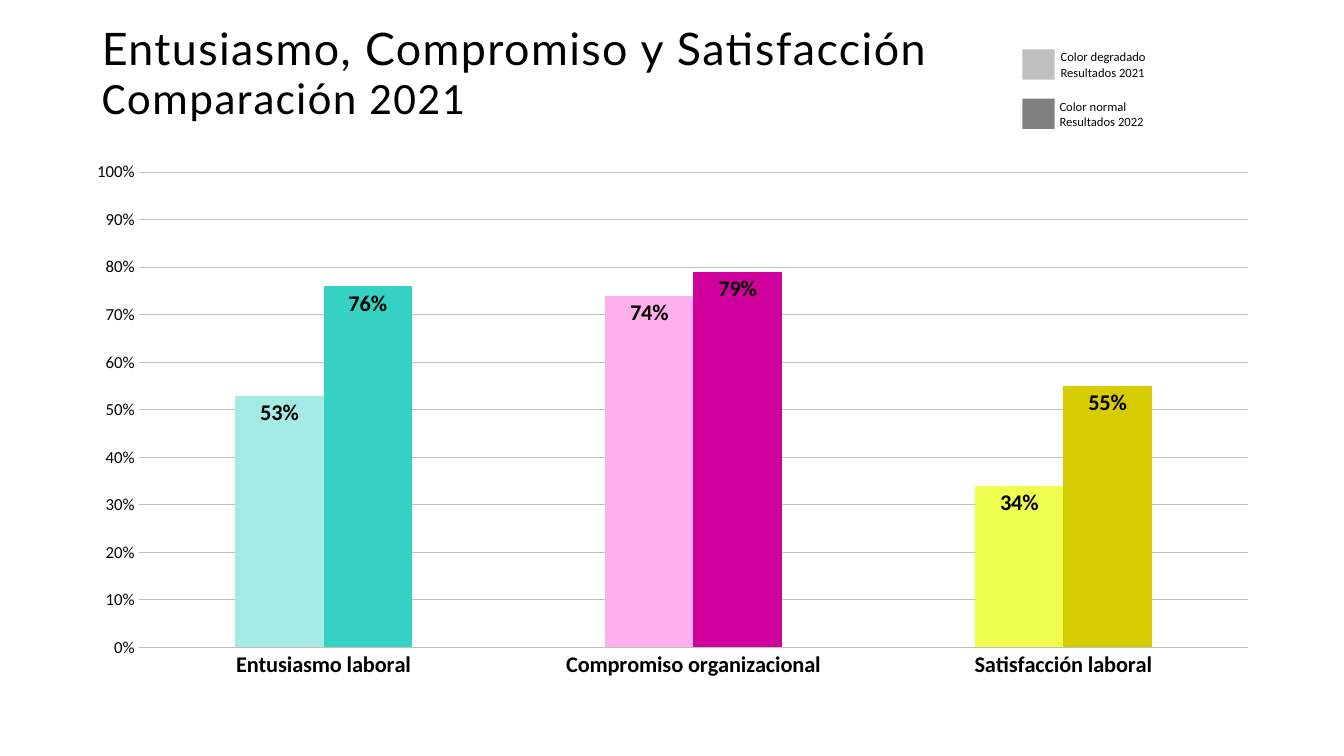
import dataclasses

import lxml.etree
import pptx
import pptx.chart.data
import pptx.dml.color
import pptx.enum.chart
import pptx.enum.shapes
import pptx.enum.text
import pptx.oxml
import pptx.oxml.ns
import pptx.util

Inches = pptx.util.Inches
Pt = pptx.util.Pt


@dataclasses.dataclass(frozen=True)
class Theme:
    heading_font: str = "Lato"
    body_font: str = "Calibri"
    text: str = "000000"
    legend_text: str = "07080B"
    grid: str = "BFBFBF"
    previous_key: str = "BFBFBF"
    current_key: str = "808080"
    previous_bars: tuple = ("A3EBE4", "FFAFEC", "EEFF4F")
    current_bars: tuple = ("35D2C4", "CF009C", "D6CC00")
    title_size: int = 32
    label_size: int = 16
    axis_size: int = 12
    chart_size: int = 10
    legend_size: int = 9


class SlideBuilder:
    """Adds styled elements to one slide."""

    def __init__(self, slide, theme):
        self.slide = slide
        self.theme = theme

    def style_font(self, font, size, color, name=None, bold=False):
        font.size = Pt(size)
        font.name = name or self.theme.body_font
        font.bold = bold
        font.color.rgb = pptx.dml.color.RGBColor.from_string(color)

    def fill_solid(self, fill, color):
        fill.solid()
        fill.fore_color.rgb = pptx.dml.color.RGBColor.from_string(color)

    def style_line(self, line, width):
        line.color.rgb = pptx.dml.color.RGBColor.from_string(self.theme.grid)
        line.width = Pt(width)

    def add_title(self, lines, left, top, width, height):
        title = self.slide.shapes.title
        title.left, title.top = Inches(left), Inches(top)
        title.width, title.height = Inches(width), Inches(height)
        frame = title.text_frame
        frame.text = "\v".join(lines)
        frame.word_wrap = True
        frame.auto_size = pptx.enum.text.MSO_AUTO_SIZE.NONE
        frame.vertical_anchor = pptx.enum.text.MSO_ANCHOR.TOP
        frame.margin_left = frame.margin_right = 0
        frame.margin_top = frame.margin_bottom = 0
        para = frame.paragraphs[0]
        para.alignment = pptx.enum.text.PP_ALIGN.LEFT
        para.line_spacing = 0.9
        fonts = (self.theme.heading_font, self.theme.body_font)
        for span, name in zip(para.runs, fonts):
            self.style_font(span.font, self.theme.title_size, self.theme.text, name)
            span.font._element.set("spc", "100")

    def add_key(self, lines, color, top, text_left, text_width):
        swatch = self.slide.shapes.add_shape(
            pptx.enum.shapes.MSO_SHAPE.RECTANGLE,
            Inches(10.14), Inches(top), Inches(0.32), Inches(0.3))
        swatch.shadow.inherit = False
        self.fill_solid(swatch.fill, color)
        swatch.line.fill.background()
        box = self.slide.shapes.add_textbox(
            Inches(text_left), Inches(top - 0.05), Inches(text_width), Inches(0.4))
        frame = box.text_frame
        frame.text = "\n".join(lines)
        frame.word_wrap = True
        frame.auto_size = pptx.enum.text.MSO_AUTO_SIZE.SHAPE_TO_FIT_TEXT
        for para in frame.paragraphs:
            for span in para.runs:
                self.style_font(span.font, self.theme.legend_size, self.theme.legend_text)

    def add_column_chart(self, categories, series, left, top, width, height):
        data = pptx.chart.data.CategoryChartData(number_format="0%")
        data.categories = categories
        for name, values, colors in series:
            data.add_series(name, values)
        chart = self.slide.shapes.add_chart(
            pptx.enum.chart.XL_CHART_TYPE.COLUMN_CLUSTERED,
            Inches(left), Inches(top), Inches(width), Inches(height), data).chart
        chart.has_legend = False
        chart.has_title = False
        self.style_font(chart.font, self.theme.chart_size, self.theme.text)
        plot = chart.plots[0]
        plot.vary_by_categories = False
        plot.gap_width = 219
        plot.overlap = 0
        for bars, (name, values, colors) in zip(plot.series, series):
            self.style_bars(bars, colors)
        self.style_axes(chart)
        self.place_plot(chart, x=0.055, y=0.039, w=0.925, h=0.883)

    def style_bars(self, bars, colors):
        self.fill_solid(bars.format.fill, colors[0])
        for index, color in enumerate(colors):
            self.fill_solid(bars.points[index].format.fill, color)
        labels = bars.data_labels
        labels.show_value = True
        labels.number_format = "0%"
        labels.number_format_is_linked = False
        labels.position = pptx.enum.chart.XL_LABEL_POSITION.INSIDE_END
        self.style_font(labels.font, self.theme.label_size, self.theme.text, bold=True)

    def style_axes(self, chart):
        for axis in (chart.category_axis, chart.value_axis):
            axis.major_tick_mark = pptx.enum.chart.XL_TICK_MARK.NONE
            axis.minor_tick_mark = pptx.enum.chart.XL_TICK_MARK.NONE
        category, value = chart.category_axis, chart.value_axis
        self.style_font(category.tick_labels.font, self.theme.label_size,
                        self.theme.text, bold=True)
        self.style_line(category.format.line, 0.75)
        value.minimum_scale, value.maximum_scale, value.major_unit = 0, 1, 0.1
        value.tick_labels.number_format = "0%"
        value.tick_labels.number_format_is_linked = False
        self.style_font(value.tick_labels.font, self.theme.axis_size, self.theme.text)
        value.format.line.fill.background()
        value.has_major_gridlines = True
        self.style_line(value.major_gridlines.format.line, 0.5)

    def place_plot(self, chart, **fractions):
        qn = pptx.oxml.ns.qn
        area = chart._chartSpace.find(".//" + qn("c:plotArea"))
        for old in area.findall(qn("c:layout")):
            area.remove(old)
        layout = lxml.etree.Element(qn("c:layout"))
        manual = lxml.etree.SubElement(layout, qn("c:manualLayout"))
        settings = {"layoutTarget": "inner", "xMode": "edge", "yMode": "edge", **fractions}
        for tag, setting in settings.items():
            lxml.etree.SubElement(manual, qn("c:" + tag)).set("val", str(setting))
        area.insert(0, layout)


def main():
    theme = Theme()
    deck = pptx.Presentation()
    deck.slide_width, deck.slide_height = Inches(13.33), Inches(7.5)
    page = SlideBuilder(deck.slides.add_slide(deck.slide_layouts[5]), theme)
    page.add_title(("Entusiasmo, Compromiso y Satisfacción", "Comparación 2021"),
                   1.01, 0.27, 8.56, 1.06)
    page.add_key(("Color degradado", "Resultados 2021"), theme.previous_key, 0.49, 10.42, 2.22)
    page.add_key(("Color normal", "Resultados 2022"), theme.current_key, 0.98, 10.41, 2.69)
    page.add_column_chart(
        ("Entusiasmo laboral", "Compromiso organizacional", "Satisfacción laboral"),
        (("Series 1", (0.53, 0.74, 0.34), theme.previous_bars),
         ("Series 2", (0.76, 0.79, 0.55), theme.current_bars)),
        0.72, 1.5, 11.9, 5.34)
    deck.save("out.pptx")


if __name__ == "__main__":
    main()
